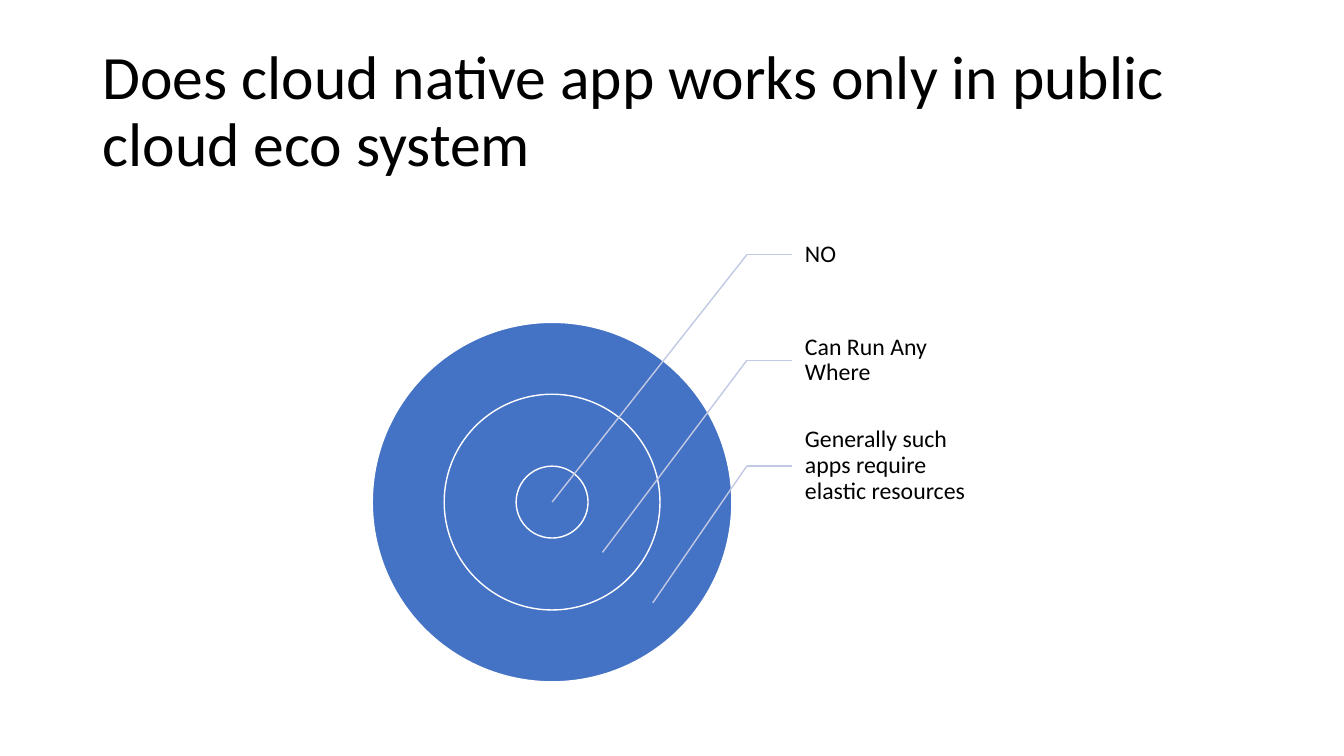
from pptx import Presentation
from pptx.dml.color import RGBColor
from pptx.enum.shapes import MSO_CONNECTOR, MSO_SHAPE
from pptx.enum.text import MSO_ANCHOR
from pptx.oxml.ns import qn
from pptx.util import Inches, Pt
from lxml.etree import SubElement

COLORS = {"text": "000000", "disc": "4472C4", "rim": "FFFFFF", "leader": "C1C9E4"}
TITLE = "Does cloud native app works only in public cloud eco system"
ANSWERS = ["NO", "Can Run Any Where", "Generally such apps require elastic resources"]
TITLE_FONT = {"name": "Calibri", "size": Pt(44)}
LABEL_FONT = {"name": "Calibri", "size": Pt(17)}
TITLE_FRAME = {"word_wrap": True, "vertical_anchor": MSO_ANCHOR.MIDDLE}
LABEL_FRAME = {
    **TITLE_FRAME,
    "margin_left": Inches(0.13),
    "margin_right": Inches(0.02),
    "margin_top": Inches(0.02),
    "margin_bottom": Inches(0.02),
}


def color(key):
    return RGBColor.from_string(COLORS[key])


def apply(target, values):
    for attribute, value in values.items():
        setattr(target, attribute, value)


def share_box(deck, left, top, width, height):
    across, down = deck.slide_width, deck.slide_height
    return [int(n) for n in (left * across, top * down, width * across, height * down)]


def add_text(slide, box, words, frame_format, font_format):
    frame = slide.shapes.add_textbox(*box).text_frame
    apply(frame, frame_format)
    paragraph = frame.paragraphs[0]
    paragraph.line_spacing = 0.9
    run = paragraph.add_run()
    run.text = words
    apply(run.font, font_format)
    run.font.color.rgb = color("text")


def add_leader(slide, start, end):
    points = [int(n) for n in (*start, *end)]
    leader = slide.shapes.add_connector(MSO_CONNECTOR.STRAIGHT, *points)
    leader.line.color.rgb = color("leader")
    leader.line.width = Pt(1)
    SubElement(leader._element.spPr, qn("a:effectLst"))


def add_disc(slide, center, diameter):
    corner = [int(n - diameter / 2) for n in center]
    disc = slide.shapes.add_shape(MSO_SHAPE.OVAL, *corner, int(diameter), int(diameter))
    disc.shadow.inherit = False
    disc.fill.solid()
    disc.fill.fore_color.rgb = color("disc")
    disc.line.color.rgb = color("rim")
    disc.line.width = Pt(1)


def add_target(slide, box, answers):
    left, top, width, height = box
    diameter = width * 0.6
    center = (left + diameter / 2, top + height - diameter / 2)
    rings = 2 * len(answers) - 1
    for ring in range(rings, 0, -2):
        add_disc(slide, center, diameter * ring / rings)

    elbow_x, label_x = left + width * 0.625, left + width * 0.7
    row = height * 0.22
    for index, answer in enumerate(answers):
        row_top = top + index * row
        label_box = [int(n) for n in (label_x, row_top, width * 0.3, row)]
        add_text(slide, label_box, answer, LABEL_FRAME, LABEL_FONT)
        elbow = (elbow_x, row_top + row / 2)
        tip = [n + index * diameter * 0.14 for n in center]
        add_leader(slide, elbow, (label_x, elbow[1]))
        add_leader(slide, elbow, tip)


deck = Presentation()
deck.slide_width, deck.slide_height = Inches(13.33), Inches(7.5)
slide = deck.slides.add_slide(deck.slide_layouts[6])
title_box = share_box(deck, 0.069, 0.053, 0.863, 0.193)
target_box = share_box(deck, 0.277, 0.267, 0.446, 0.635)
add_text(slide, title_box, TITLE, TITLE_FRAME, TITLE_FONT)
add_target(slide, target_box, ANSWERS)
deck.save("out.pptx")
